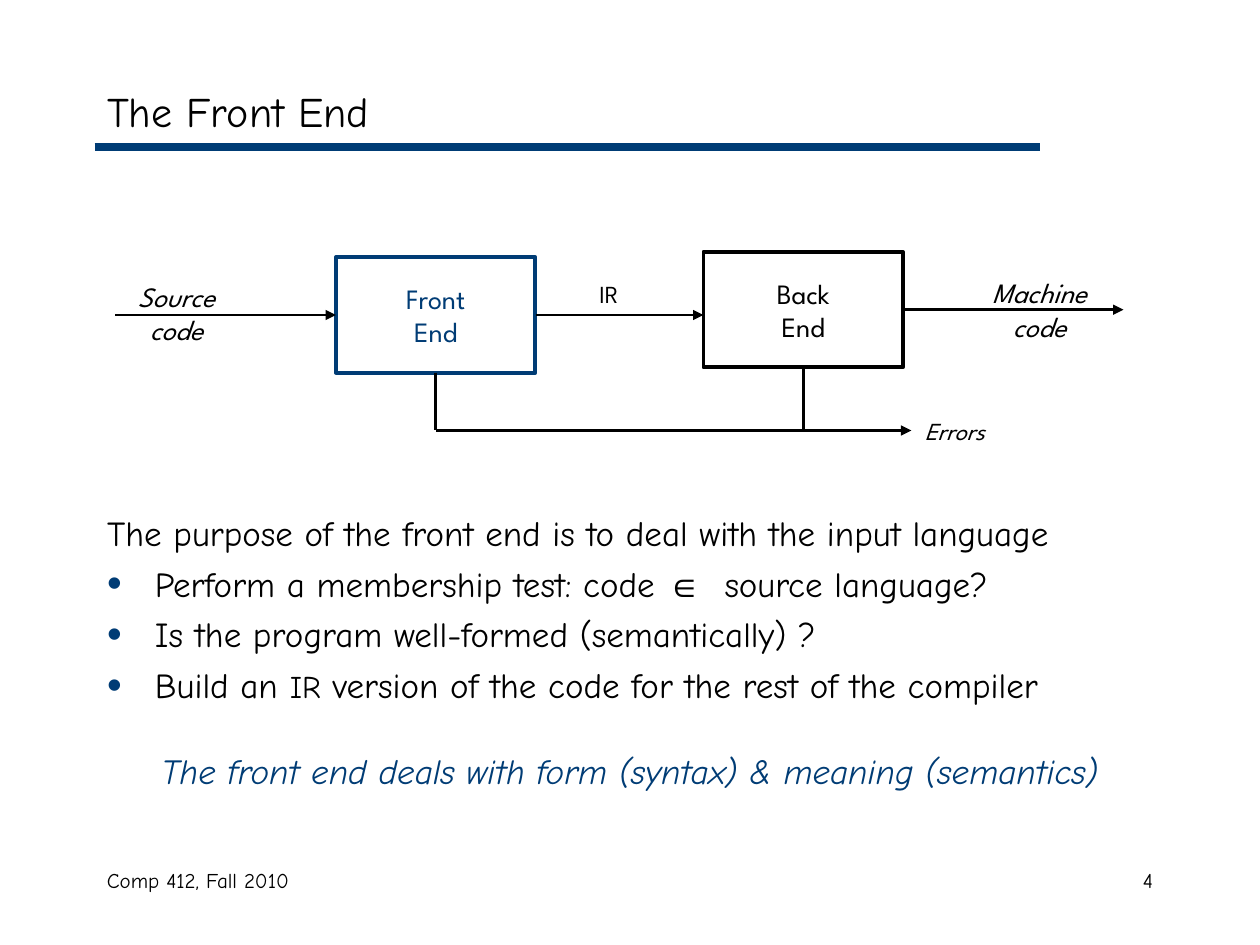
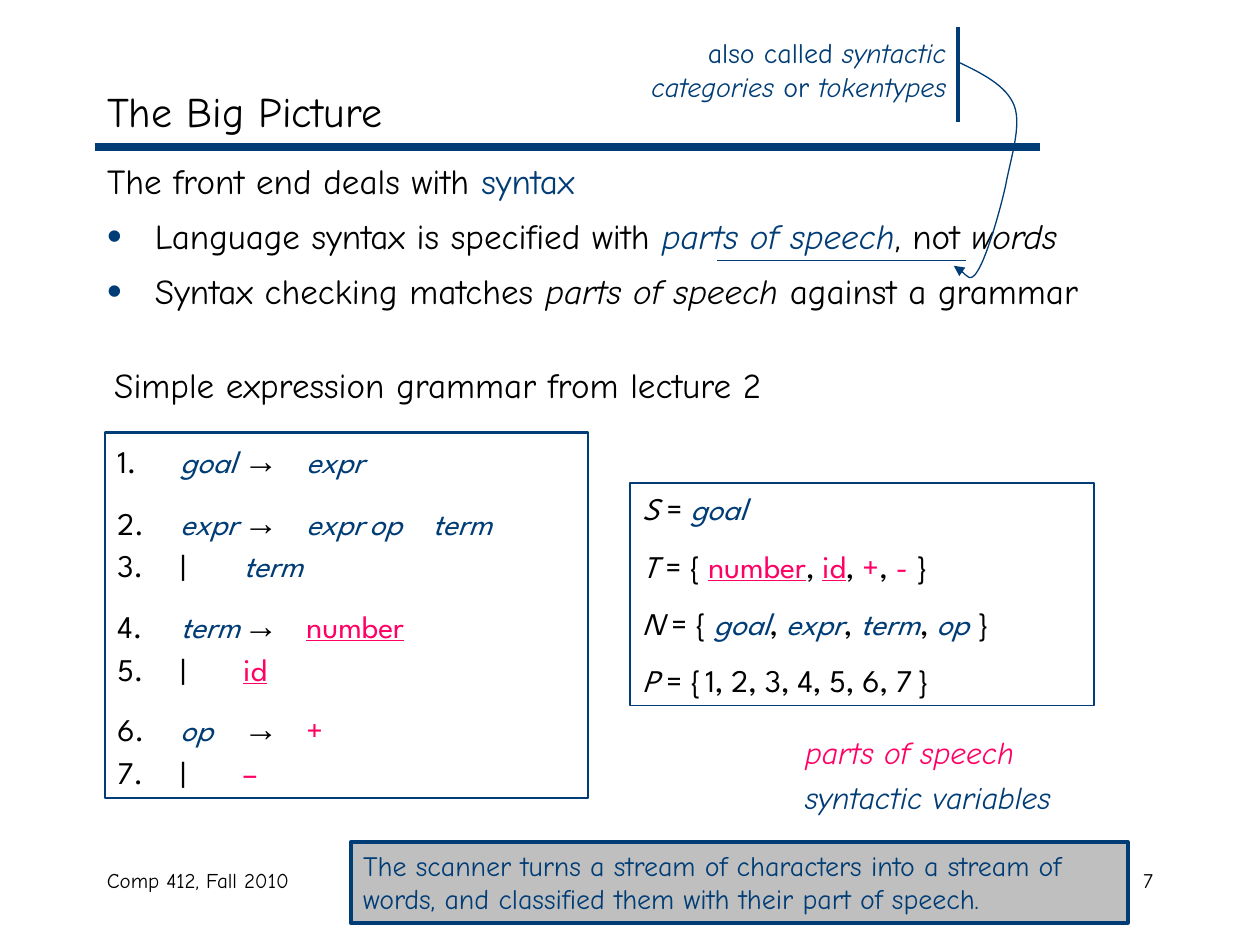
from dataclasses import dataclass
from typing import NamedTuple

from lxml.etree import SubElement
from pptx import Presentation
from pptx.dml.color import RGBColor
from pptx.enum.shapes import MSO_CONNECTOR, MSO_SHAPE
from pptx.enum.text import MSO_ANCHOR, MSO_AUTO_SIZE, PP_ALIGN
from pptx.oxml.ns import qn
from pptx.util import Emu, Inches, Pt

HUES = {"ink": "000000", "navy": "003C75", "pink": "FF0065", "grey": "BFBFBF"}
HAND, SANS, SIGN = "Comic Neue", "League Spartan", "Arial"
LEFT, MID, RIGHT = PP_ALIGN.LEFT, PP_ALIGN.CENTER, PP_ALIGN.RIGHT
COLS = 120
WIDE, HIGH = Inches(10), Inches(7.5)


class Area(NamedTuple):
    x: float
    y: float
    w: float
    h: float


class Bit(NamedTuple):
    text: str
    hue: str = ""
    slant: bool = False
    under: bool = False
    size: float = 0
    face: str = ""


@dataclass
class Para:
    bits: list[Bit]
    size: float = 20
    face: str = HAND
    hue: str = "ink"
    slant: bool = False
    align: PP_ALIGN = LEFT
    above: float = 0
    hang: bool = False
    dot: bool = False
    tabs: tuple[float, ...] = ()


@dataclass
class Wire:
    start: tuple[float, float]
    end: tuple[float, float]
    hue: str = "ink"
    width: float = 1.5
    arrow: bool = False


def unit(n: float) -> Emu:
    return Emu(round(n * WIDE / COLS))


def tint(name: str) -> RGBColor:
    return RGBColor.from_string(HUES[name])


def say(text: str, **look) -> Para:
    return Para([Bit(text)], **look)


def var(text: str) -> Bit:
    return Bit(text, "navy", True)


def tok(text: str, under: bool = False) -> Bit:
    return Bit(text, "pink", under=under)


def it(text: str) -> Bit:
    return Bit(text, slant=True)


def write(par, item: Para) -> None:
    par.alignment = item.align
    par.space_before = Pt(item.above)
    props = par._p.get_or_add_pPr()
    inset = Inches(0.38) if item.hang else 0
    props.set("marL", str(inset))
    props.set("indent", str(-inset))
    if item.dot:
        shade = SubElement(props, qn("a:buClr"))
        SubElement(shade, qn("a:srgbClr"), val=HUES["navy"])
        SubElement(props, qn("a:buSzPct"), val="120000")
        SubElement(props, qn("a:buChar"), char="•")
    else:
        SubElement(props, qn("a:buNone"))
    if item.tabs:
        stops = SubElement(props, qn("a:tabLst"))
        for stop in item.tabs:
            SubElement(stops, qn("a:tab"), pos=str(Inches(stop)), algn="l")
    font = par.font
    font.name, font.size = item.face, Pt(item.size)
    font.color.rgb = tint(item.hue)
    font.italic = item.slant
    for bit in item.bits:
        run = par.add_run()
        run.text = bit.text
        if bit.hue:
            run.font.color.rgb = tint(bit.hue)
        if bit.slant:
            run.font.italic = True
        if bit.under:
            run.font.underline = True
        if bit.size:
            run.font.size = Pt(bit.size)
        if bit.face:
            run.font.name = bit.face


def fill(shape, items: list[Para], anchor=MSO_ANCHOR.TOP, wrap: bool = True) -> None:
    frame = shape.text_frame
    frame.auto_size = MSO_AUTO_SIZE.NONE
    frame.word_wrap = wrap
    frame.vertical_anchor = anchor
    for i, item in enumerate(items):
        write(frame.add_paragraph() if i else frame.paragraphs[0], item)


def place(shape, area: Area) -> None:
    shape.left, shape.top, shape.width, shape.height = map(unit, area)


def label(slide, area: Area, items: list[Para], wrap: bool = True) -> None:
    fill(slide.shapes.add_textbox(*map(unit, area)), items, wrap=wrap)


def box(slide, area: Area, items: list[Para], hue: str = "navy", width: float = 2.25,
        back: str = "", anchor=MSO_ANCHOR.TOP) -> None:
    shape = slide.shapes.add_shape(MSO_SHAPE.RECTANGLE, *map(unit, area))
    shape.shadow.inherit = False
    shape.line.color.rgb = tint(hue)
    shape.line.width = Pt(width)
    if back:
        shape.fill.solid()
        shape.fill.fore_color.rgb = tint(back)
    else:
        shape.fill.background()
    fill(shape, items, anchor)


def tip(shape) -> None:
    SubElement(shape.line._get_or_add_ln(), qn("a:tailEnd"), type="triangle")


def draw(slide, wire: Wire) -> None:
    line = slide.shapes.add_connector(
        MSO_CONNECTOR.STRAIGHT, *map(unit, wire.start + wire.end))
    line.line.color.rgb = tint(wire.hue)
    line.line.width = Pt(wire.width)
    if wire.arrow:
        tip(line)
    SubElement(line._element.spPr, qn("a:effectLst"))


def curve(slide, points: list[tuple[float, float]]) -> None:
    spots = [(Inches(x), Inches(y)) for x, y in points]
    pen = slide.shapes.build_freeform(*spots[0])
    pen.add_line_segments(spots[1:], close=False)
    shape = pen.convert_to_shape()
    legs = list(shape._element.iter(qn("a:lnTo")))
    route = legs[0].getparent()
    for i in range(0, len(legs), 3):
        bend = SubElement(route, qn("a:cubicBezTo"))
        for leg in legs[i:i + 3]:
            bend.append(leg[0])
            route.remove(leg)
    shape.shadow.inherit = False
    shape.fill.background()
    shape.line.color.rgb = tint("navy")
    shape.line.width = Pt(0.75)
    tip(shape)


def start(deck, title: str, page: str, area: Area, items: list[Para]):
    slide = deck.slides.add_slide(deck.slide_layouts[1])
    head, body = slide.placeholders
    place(head, Area(9, 7, 102, 7))
    fill(head, [say(title, size=24)], MSO_ANCHOR.MIDDLE)
    place(body, area)
    fill(body, items)
    draw(slide, Wire((9, 14), (99, 14), "navy", 4.5))
    label(slide, Area(9, 82, 49, 6), [say("Comp 412, Fall 2010", size=12)])
    label(slide, Area(86, 82, 25, 6), [say(page, size=12, align=RIGHT)])
    return slide


def pair(first: str, second: str, **look) -> list[Para]:
    return [say(t, size=16, face=SANS, align=MID, **look) for t in (first, second)]


def front(deck) -> None:
    point = {"above": 5, "hang": True, "dot": True}
    slide = start(deck, "The Front End", "4", Area(9, 48.1, 102, 31.9), [
        say("The purpose of the front end is to deal with the input language", hang=True),
        Para([Bit("Perform a membership test: code "), Bit("∈", face=SIGN),
              Bit("\tsource language?")], tabs=(4.9,), **point),
        say("Is the program well-formed (semantically) ?", **point),
        Para([Bit("Build an "), Bit("IR", size=18),
              Bit(" version of the code for the rest of the compiler")], **point),
        say("The front end deals with form (syntax) & meaning (semantics)",
            hue="navy", slant=True, align=MID, above=25, hang=True),
    ])
    label(slide, Area(11.6, 26, 10.4, 7.7), pair("Source", "code", slant=True), False)
    label(slide, Area(91, 25.7, 16, 7.7), pair("Machine", "code", slant=True))
    box(slide, Area(32, 24.5, 19, 11), pair("Front", "End", hue="navy"),
        anchor=MSO_ANCHOR.MIDDLE)
    box(slide, Area(67, 24, 19, 11), pair("Back", "End"), "ink",
        anchor=MSO_ANCHOR.MIDDLE)
    for wire in (
        Wire((11, 30), (32, 30), arrow=True),
        Wire((51, 30), (67, 30), arrow=True),
        Wire((86, 29.5), (107, 29.5), arrow=True),
        Wire((41.5, 35.5), (41.5, 41)),
        Wire((76.5, 35), (76.5, 41)),
        Wire((41.5, 41), (86.8, 41), arrow=True),
    ):
        draw(slide, wire)
    label(slide, Area(55.9, 26, 4.7, 4.1), [say("IR", size=14, face=SANS)], False)
    label(slide, Area(86.9, 39, 9.4, 4.1),
          [say("Errors", size=14, face=SANS, slant=True)], False)


def rule(num: int, name: str, goal: list[Bit], tabs: tuple[float, ...]) -> Para:
    lead = [Bit(f"{num}.\t")]
    if name:
        lead += [var(name), Bit("\t"), Bit("→", size=20, face=SIGN)]
    else:
        lead.append(Bit("|"))
    above = 0 if num == 1 else 11.2 if name else 2.2
    return Para(lead + [Bit("\t")] + goal, 18, SANS, above=above, tabs=tabs)


def group(name: str, bits: list[Bit], above: float = 11.2) -> Para:
    return Para([it(name), Bit(" = ")] + bits, 18, SANS, above=above)


def listed(bits: list[Bit]) -> list[Bit]:
    out = [Bit("{ ")]
    for i, bit in enumerate(bits):
        out += [Bit(", "), bit] if i else [bit]
    return out + [Bit(" }")]


def whole(deck) -> None:
    point = {"above": 7.5, "hang": True, "dot": True}
    slide = start(deck, "The Big Picture", "7", Area(9, 14.6, 102, 69.4), [
        Para([Bit("The front end deals with "), Bit("syntax", "navy")], hang=True),
        Para([Bit("Language syntax is specified with "), var("parts of speech"),
              Bit(", not "), it("words")], **point),
        Para([Bit("Syntax checking matches "), it("parts of speech"),
              Bit(" against a grammar")], **point),
    ])
    main, alt = (0.35, 0.97, 1.27), (1.12, 1.38)
    box(slide, Area(10, 41.2, 46, 34.8), [
        rule(1, "goal", [var("expr")], (0.28, 0.9, 1.19)),
        rule(2, "expr", [var("expr\top\tterm")], main + (1.85, 2.24)),
        rule(3, "", [var("term")], alt),
        rule(4, "term", [tok("number", True)], main),
        rule(5, "", [tok("id", True)], (1.12, 1.43)),
        rule(6, "op", [tok("+")], (0.35, 1.02, 1.37)),
        rule(7, "", [tok("–")], (1.12, 1.42)),
    ], width=1.5)
    gap = Bit(" ", size=10)
    names = [var(t) for t in ("goal", "expr", "term", "op")]
    box(slide, Area(60, 46, 44.2, 21.2), [
        group("S", [var("goal")], 0),
        group("T", listed([tok("number", True), tok("id", True), tok("+"), tok("-")])),
        group("N", listed(names)),
        group("P", [Bit("{"), gap, Bit("1, 2, 3, 4, 5, 6, 7"), gap, Bit("}")]),
    ], width=0.75)
    label(slide, Area(56.9, 2.8, 34.4, 7.7), [Para([
        Bit("also called "), it("syntactic categories "), Bit("or "), it("tokentypes"),
    ], 16, hue="navy", align=RIGHT)])
    draw(slide, Wire((91.2, 2.6), (91.2, 11.6), "navy", 2.25))
    curve(slide, [
        (7.6, 0.49), (7.79, 0.58), (7.99, 0.68), (8.05, 0.84), (8.11, 1), (8.02, 1.26),
        (7.98, 1.48), (7.93, 1.7), (7.83, 2.04), (7.76, 2.15), (7.7, 2.25),
        (7.61, 2.12), (7.57, 2.11)])
    draw(slide, Wire((68.3, 24.8), (92, 24.8), "navy", 0.75))
    label(slide, Area(75.5, 69.2, 34.3, 9.2), [
        say("parts of speech", size=18, hue="pink", slant=True),
        say("syntactic variables", size=18, hue="navy", slant=True, above=4.5)])
    label(slide, Area(9.7, 34, 71, 5.3), [say("Simple expression grammar from lecture 2")])
    box(slide, Area(33.4, 80.2, 74, 7.7), [say(
        "The scanner turns a stream of characters into a stream of words, "
        "and classified them with their part of speech.", size=16, hue="navy")],
        back="grey")


def main() -> None:
    deck = Presentation()
    deck.slide_width, deck.slide_height = WIDE, HIGH
    front(deck)
    whole(deck)
    deck.save("out.pptx")


if __name__ == "__main__":
    main()
